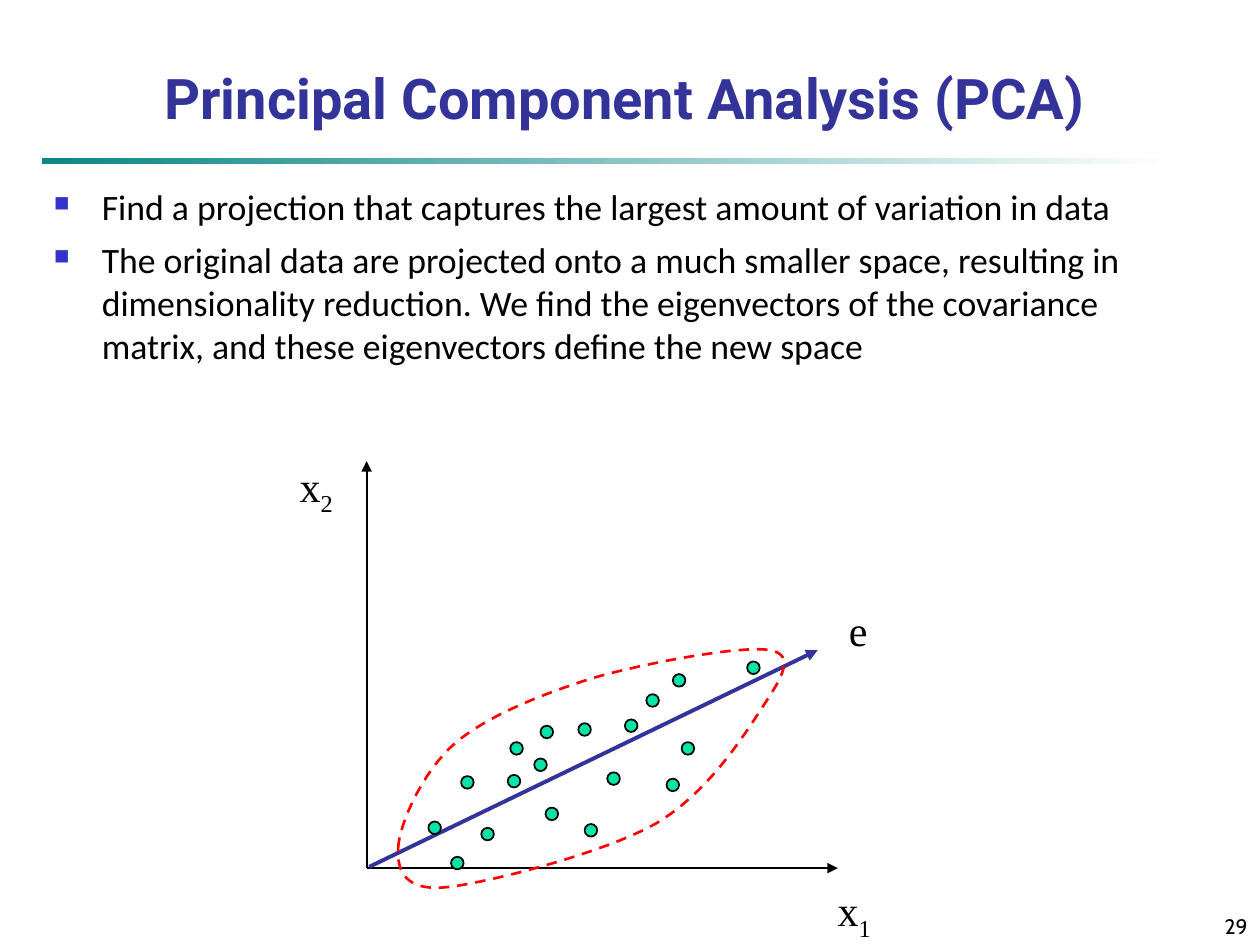
from lxml import etree
from pptx import Presentation
from pptx.dml.color import RGBColor
from pptx.enum.dml import MSO_LINE
from pptx.enum.shapes import MSO_CONNECTOR, MSO_SHAPE
from pptx.enum.text import MSO_ANCHOR, PP_ALIGN
from pptx.oxml.ns import qn
from pptx.util import Inches, Pt

STRAIGHT = MSO_CONNECTOR.STRAIGHT
RECTANGLE, OVAL = MSO_SHAPE.RECTANGLE, MSO_SHAPE.OVAL
DASH = MSO_LINE.DASH
LEFT, CENTER, RIGHT = PP_ALIGN.LEFT, PP_ALIGN.CENTER, PP_ALIGN.RIGHT
TOP, MIDDLE, BOTTOM = MSO_ANCHOR.TOP, MSO_ANCHOR.MIDDLE, MSO_ANCHOR.BOTTOM

COLORS = {
    "text": "000000",
    "indigo": "333399",
    "bullet": "3333CC",
    "rule_start": "0D8686",
    "rule_end": "FFFFFF",
    "dot": "00E4A8",
    "cluster": "FF0000",
}
BULLETS = [
    "Find a projection that captures the largest amount of variation in data",
    "The original data are projected onto a much smaller space, resulting in "
    "dimensionality reduction. We find the eigenvectors of the covariance "
    "matrix, and these eigenvectors define the new space",
]
DATA_POINTS = [
    (0.8, 0.68), (1.19, 0.95), (0.54, 0.32), (1.38, 0.82), (1.17, 0.69),
    (1.96, 0.71), (1.78, 0.3), (1.47, 0.43), (1.73, 1.1), (2.55, 0.95),
    (3.07, 1.59), (0.96, 0.27), (2.1, 1.13), (2.48, 1.49), (1.43, 1.08),
    (2.27, 1.33), (2.43, 0.66), (0.72, 0.04),
]
CLUSTER_CURVE = [
    (0.25, 0.16),
    (0.26, 0.35), (0.44, 0.76), (0.7, 0.99),
    (0.96, 1.21), (1.39, 1.38), (1.8, 1.51),
    (2.22, 1.63), (2.98, 1.77), (3.2, 1.73),
    (3.42, 1.69), (3.28, 1.49), (3.13, 1.26),
    (2.98, 1.03), (2.7, 0.59), (2.29, 0.35),
    (1.88, 0.12), (0.99, -0.11), (0.65, -0.15),
    (0.31, -0.19), (0.24, -0.03), (0.25, 0.16),
]
AXIS_LABELS = [
    ("x", "2", -0.4, 3.01),
    ("x", "1", 3.87, -0.36),
    ("e", "", 3.9, 1.89),
]


def rgb(name):
    return RGBColor.from_string(COLORS[name])


def place(shape, box):
    shape.left, shape.top, shape.width, shape.height = map(Inches, box)


def write(shape, paragraphs, size, font, color="text", bold=False,
          align=LEFT, anchor=TOP, wrap=True, subscript=""):
    frame = shape.text_frame
    frame.word_wrap = wrap
    frame.vertical_anchor = anchor
    frame.text = "\n".join(paragraphs)
    if subscript:
        frame.paragraphs[0].add_run().text = subscript
    for paragraph in frame.paragraphs:
        paragraph.alignment = align
        for run in paragraph.runs:
            run.font.size = Pt(size)
            run.font.name = font
            run.font.bold = bold
            run.font.color.rgb = rgb(color)
    if subscript:
        frame.paragraphs[0].runs[-1].font._element.set("baseline", "-25000")


def add_text(slide, box, paragraphs, **text_format):
    text_box = slide.shapes.add_textbox(*map(Inches, box))
    write(text_box, paragraphs, **text_format)
    return text_box


def add_bullet(paragraph):
    paragraph.line_spacing = 1.0
    paragraph.space_before = Pt(5.5)
    properties = paragraph._p.get_or_add_pPr()
    properties.set("marL", str(Inches(0.38)))
    properties.set("indent", str(-Inches(0.38)))
    bullet_color = etree.SubElement(properties, qn("a:buClr"))
    etree.SubElement(bullet_color, qn("a:srgbClr"), val=COLORS["bullet"])
    etree.SubElement(properties, qn("a:buSzPct"), val="60000")
    etree.SubElement(properties, qn("a:buChar"), char="■")


def add_arrow(slide, start, end, color, width):
    arrow = slide.shapes.add_connector(STRAIGHT, *map(Inches, (*start, *end)))
    arrow.line.color.rgb = rgb(color)
    arrow.line.width = Pt(width)
    etree.SubElement(arrow.line._get_or_add_ln(), qn("a:tailEnd"), type="triangle")
    etree.SubElement(arrow._element.spPr, qn("a:effectLst"))


def bezier_points(controls, steps=16):
    points = [controls[0]]
    for first in range(0, len(controls) - 1, 3):
        a, b, c, d = controls[first:first + 4]
        for step in range(1, steps + 1):
            t = step / steps
            weights = ((1 - t) ** 3, 3 * t * (1 - t) ** 2, 3 * t * t * (1 - t), t ** 3)
            points.append(tuple(
                sum(w * v for w, v in zip(weights, values))
                for values in zip(a, b, c, d)))
    return points


def add_heading(slide, box):
    left, top, width, height = box
    place(slide.shapes.title, box)
    write(slide.shapes.title, ["Principal Component Analysis (PCA)"], size=32,
          font="Roboto", color="indigo", bold=True, align=CENTER, anchor=BOTTOM)
    rule = slide.shapes.add_shape(RECTANGLE, *map(
        Inches, (left + 0.16, top + height + 0.16, 9, 0.05)))
    rule.shadow.inherit = False
    rule.line.fill.background()
    rule.fill.gradient()
    rule.fill.gradient_angle = 0
    for stop, position, color in zip(
            rule.fill.gradient_stops, (0, 1), ("rule_start", "rule_end")):
        stop.position = position
        stop.color.rgb = rgb(color)


def add_body(slide, box):
    body = add_text(slide, box, BULLETS, size=20.4, font="Calibri")
    for paragraph in body.text_frame.paragraphs:
        add_bullet(paragraph)


def add_scatter(slide, box):
    left, top, width, height = box
    base = top + height

    def at(x, y):
        return left + x, base - y

    add_arrow(slide, at(0, 0), at(0, height), "text", 1)
    add_arrow(slide, at(0, 0), at(width, 0), "text", 1)
    add_arrow(slide, at(0.02, 0.01), at(3.58, 1.73), "indigo", 2.25)

    outline = [tuple(map(Inches, at(x, y))) for x, y in bezier_points(CLUSTER_CURVE)]
    builder = slide.shapes.build_freeform(*outline[0])
    builder.add_line_segments(outline[1:], close=True)
    cluster = builder.convert_to_shape()
    cluster.shadow.inherit = False
    cluster.fill.background()
    cluster.line.color.rgb = rgb("cluster")
    cluster.line.width = Pt(1.5)
    cluster.line.dash_style = DASH

    diameter = 0.1
    for x, y in DATA_POINTS:
        corner = at(x - diameter / 2, y + diameter / 2)
        dot = slide.shapes.add_shape(OVAL, *map(Inches, (*corner, diameter, diameter)))
        dot.shadow.inherit = False
        dot.fill.solid()
        dot.fill.fore_color.rgb = rgb("dot")
        dot.line.color.rgb = rgb("text")
        dot.line.width = Pt(1)

    for label, subscript, x, y in AXIS_LABELS:
        label_width, label_height = (0.46, 0.56) if subscript else (0.35, 0.5)
        corner = at(x - label_width / 2, y + label_height / 2)
        add_text(slide, (*corner, label_width, label_height), [label], size=24,
                 font="Times New Roman", align=CENTER, anchor=MIDDLE,
                 wrap=False, subscript=subscript)


def main():
    deck = Presentation()
    deck.slide_width, deck.slide_height = Inches(10), Inches(7.5)
    slide = deck.slides.add_slide(deck.slide_layouts[5])
    add_heading(slide, (0.17, 0.17, 9.58, 0.92))
    add_body(slide, (0.33, 1.42, 9.17, 1.75))
    add_scatter(slide, (2.91, 3.66, 3.74, 3.23))
    add_text(slide, (9, 7.08, 1, 0.42), ["29"], size=12, font="Cabin",
             align=RIGHT, anchor=BOTTOM)
    deck.save("out.pptx")


if __name__ == "__main__":
    main()
